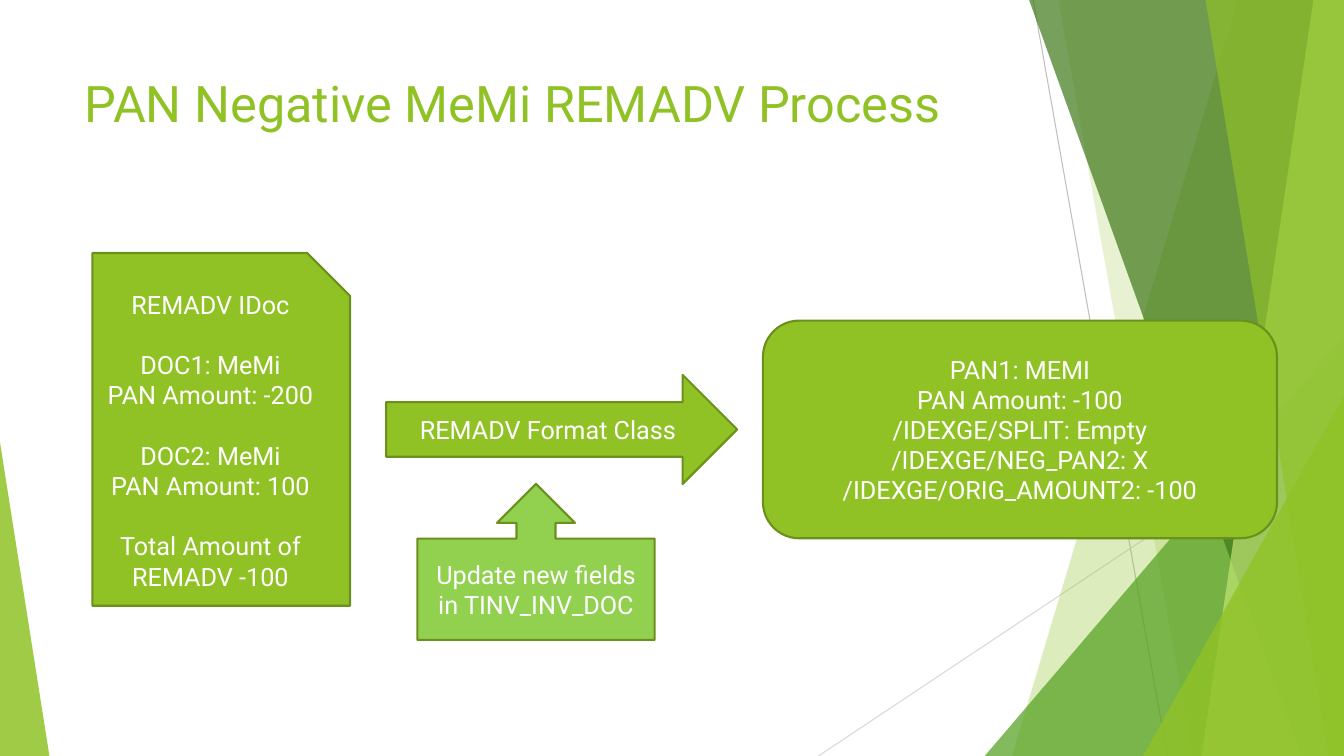
from lxml import etree
from pptx import Presentation
from pptx.dml.color import RGBColor
from pptx.enum import shapes, text
from pptx.oxml import ns
from pptx.util import Pt

WIDTH, HEIGHT = 960, 540
FONT = "Roboto"
WHITE = RGBColor(0xFF, 0xFF, 0xFF)
GREEN = RGBColor(0x90, 0xC2, 0x26)
LIGHT_GREEN = RGBColor(0x92, 0xD0, 0x50)
OUTLINE = RGBColor(0x6B, 0x90, 0x1C)
LEAF = RGBColor(0x54, 0xA0, 0x21)
FOREST = RGBColor(0x3F, 0x78, 0x19)
LIME = RGBColor(0xC0, 0xE4, 0x74)
GREY = RGBColor(0xBF, 0xBF, 0xBF)
PALE_GREY = RGBColor(0xD9, 0xD9, 0xD9)

TITLE = "PAN Negative MeMi REMADV Process"

# Process steps: preset, (left, top, width, height), fill, groups of lines
KIND = shapes.MSO_SHAPE
STEPS = [
    (KIND.SNIP_1_RECTANGLE, (66, 180.7, 184, 252), GREEN,
     [["REMADV IDoc"],
      ["DOC1: MeMi", "PAN Amount: -200"],
      ["DOC2: MeMi", "PAN Amount: 100"],
      ["Total Amount of REMADV -100"]]),
    (KIND.RIGHT_ARROW, (275.8, 267.8, 250.8, 78), GREEN,
     [["REMADV Format Class"]]),
    (KIND.ROUNDED_RECTANGLE, (545, 229, 367.2, 155.5), GREEN,
     [["PAN1: MEMI", "PAN Amount: -100", "/IDEXGE/SPLIT: Empty",
       "/IDEXGE/NEG_PAN2: X", "/IDEXGE/ORIG_AMOUNT2: -100"]]),
    (KIND.UP_ARROW_CALLOUT, (298.2, 345.7, 169.4, 111.4), LIGHT_GREEN,
     [["Update new fields in TINV_INV_DOC"]]),
]
TEXT_SIZE, GROUP_GAP = 18, 21.6

# Background: thin lines (from, to, colour)
RAYS = [((738, 0), (833.8, HEIGHT), GREY),
        ((WIDTH, 290.2), (584.6, HEIGHT), PALE_GREY)]

# Full-height bands: (left edge at top, left edge at bottom), reaching the right side
# Corner triangles: (left, top, width, apex position), reaching the bottom
FACETS = [
    ("band", (884.2, 722.9), GREEN, 30),
    ("band", (756, 851.8), GREEN, 20),
    ("triangle", (703.4, 239.8, 256.6, 1), LEAF, 72),
    ("band", (735.1, 929.5), FOREST, 70),
    ("band", (938.2, 858.2), LIME, 70),
    ("band", (861.1, 949), GREEN, 65),
    ("triangle", (816.5, 283, 143.5, 1), GREEN, 80),
    ("triangle", (0, 316, 35.3, 0), GREEN, 85),
]


def points(values):
    return [Pt(value) for value in values]


def add_ray(page, start, end, colour):
    ray = page.shapes.add_connector(
        shapes.MSO_CONNECTOR.STRAIGHT, *points(start + end))
    ray.line.color.rgb = colour
    ray.line.width = Pt(0.75)
    etree.SubElement(ray._element.spPr, ns.qn("a:effectLst"))


def add_facet(page, kind, geometry, colour, opacity):
    if kind == "band":
        top_x, bottom_x = geometry
        corners = [(WIDTH, 0), (WIDTH, HEIGHT), (bottom_x, HEIGHT)]
        builder = page.shapes.build_freeform(Pt(top_x), 0)
        builder.add_line_segments([points(corner) for corner in corners])
        facet = builder.convert_to_shape()
    else:
        left, top, width, apex = geometry
        facet = page.shapes.add_shape(
            KIND.ISOSCELES_TRIANGLE, *points((left, top, width, HEIGHT - top)))
        facet.adjustments[0] = apex
    facet.shadow.inherit = False
    facet.line.fill.background()
    facet.fill.solid()
    facet.fill.fore_color.rgb = colour
    colour_node = facet._element.spPr.find(".//" + ns.qn("a:srgbClr"))
    etree.SubElement(colour_node, ns.qn("a:alpha"), val=str(opacity * 1000))


def style_text(para, size, colour, alignment):
    para.alignment = alignment
    for span in para.runs:
        span.font.name = FONT
        span.font.size = Pt(size)
        span.font.color.rgb = colour


def add_step(page, preset, frame, fill, groups):
    box = page.shapes.add_shape(preset, *points(frame))
    box.shadow.inherit = False
    box.fill.solid()
    box.fill.fore_color.rgb = fill
    box.line.color.rgb = OUTLINE
    box.line.width = Pt(1.5)
    body = box.text_frame
    body.word_wrap = True
    body.vertical_anchor = text.MSO_ANCHOR.MIDDLE
    body.text = "\n".join(line for group in groups for line in group)
    for para in body.paragraphs:
        style_text(para, TEXT_SIZE, WHITE, text.PP_ALIGN.CENTER)
    # A gap opens every group after the first
    first = 0
    for group in groups[:-1]:
        first += len(group)
        body.paragraphs[first].space_before = Pt(GROUP_GAP)


def main():
    deck = Presentation()
    deck.slide_width, deck.slide_height = points((WIDTH, HEIGHT))
    page = deck.slides.add_slide(deck.slide_layouts.get_by_name("Title Only"))

    # Background
    for ray in RAYS:
        add_ray(page, *ray)
    for facet in FACETS:
        add_facet(page, *facet)

    # Title
    title = page.shapes.title
    title.left, title.top, title.width, title.height = points((53.3, 48, 677, 104))
    title.text_frame.text = TITLE
    title.text_frame.vertical_anchor = text.MSO_ANCHOR.TOP
    style_text(title.text_frame.paragraphs[0], 36, GREEN, text.PP_ALIGN.LEFT)

    # Process
    for step in STEPS:
        add_step(page, *step)

    deck.save("out.pptx")


if __name__ == "__main__":
    main()
